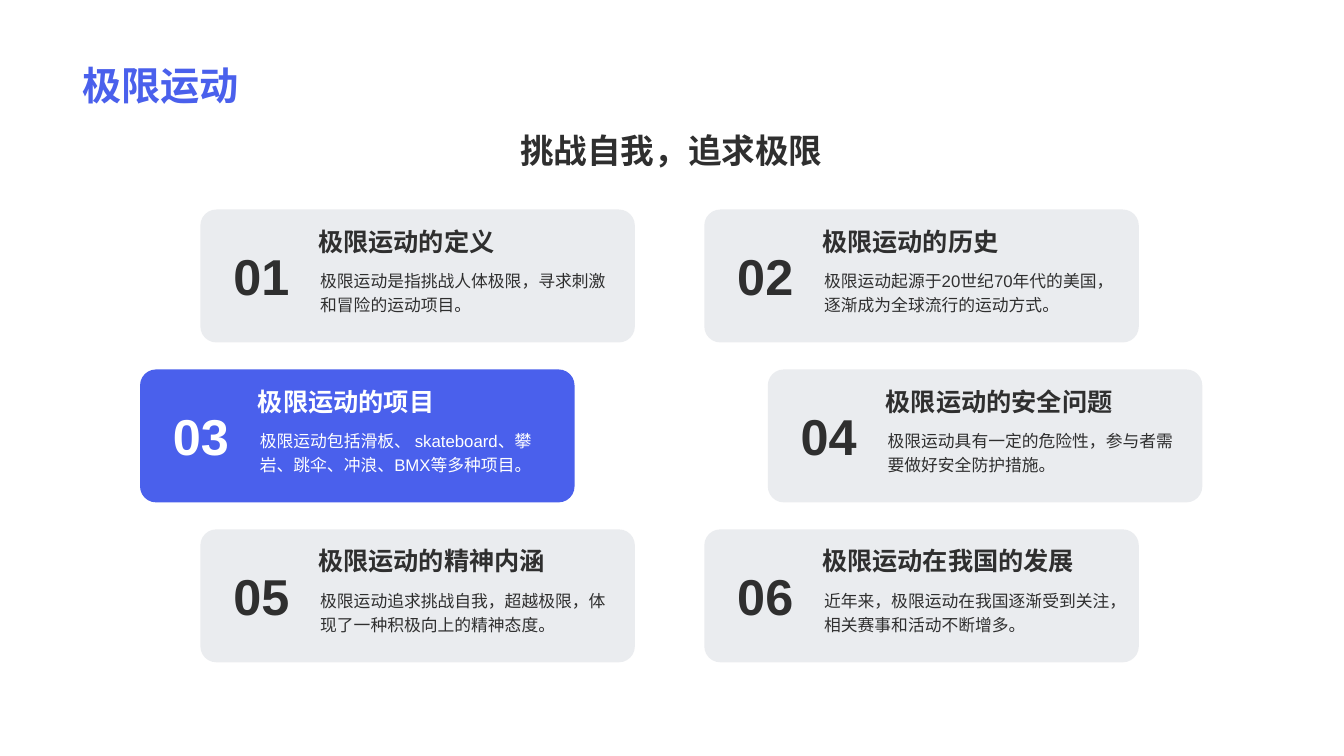
import pptx
import pptx.dml.color
import pptx.enum.lang
import pptx.enum.shapes
import pptx.enum.text
import pptx.oxml.ns
import pptx.util
from lxml import etree

Cm = pptx.util.Cm
Align = pptx.enum.text.PP_ALIGN
Anchor = pptx.enum.text.MSO_ANCHOR

COLORS = {"accent": "4A60EC", "ink": "2F2F2F", "white": "FFFFFF", "slate": "778495"}

TOPICS = [
    ("极限运动的定义", "极限运动是指挑战人体极限，寻求刺激和冒险的运动项目。"),
    ("极限运动的历史", "极限运动起源于20世纪70年代的美国，逐渐成为全球流行的运动方式。"),
    ("极限运动的项目", "极限运动包括滑板、 skateboard、攀岩、跳伞、冲浪、BMX等多种项目。"),
    ("极限运动的安全问题", "极限运动具有一定的危险性，参与者需要做好安全防护措施。"),
    ("极限运动的精神内涵", "极限运动追求挑战自我，超越极限，体现了一种积极向上的精神态度。"),
    ("极限运动在我国的发展", "近年来，极限运动在我国逐渐受到关注，相关赛事和活动不断增多。"),
]
HIGHLIGHTED = 3
COLUMN_LEFTS = (5.05, 17.75)
MIDDLE_ROW_SHIFTS = (-1.52, 1.6)
FIRST_ROW_TOP, ROW_PITCH = 5.28, 4.03
CARD_WIDTH, CARD_HEIGHT = 10.95, 3.35


def rgb(color):
    return pptx.dml.color.RGBColor.from_string(COLORS[color])


def write_text(frame, text, size, color="ink", bold=True, align=Align.LEFT, line_spacing=None):
    paragraph = frame.paragraphs[0]
    paragraph.alignment = align
    paragraph.line_spacing = line_spacing
    run = paragraph.add_run()
    run.text = text
    font = run.font
    font.name = "Arial"
    font.size = pptx.util.Pt(size)
    font.bold = bold
    font.color.rgb = rgb(color)
    font.language_id = pptx.enum.lang.MSO_LANGUAGE_ID.SIMPLIFIED_CHINESE


class TopicSlide:
    def __init__(self, slide):
        self.shapes = slide.shapes

    def text(self, left, top, width, height, text, size, anchor=Anchor.TOP, **style):
        box = self.shapes.add_textbox(Cm(left), Cm(top), Cm(width), Cm(height))
        frame = box.text_frame
        frame.word_wrap = True
        frame.vertical_anchor = anchor
        write_text(frame, text, size, **style)

    def panel(self, left, top, color, opacity=100):
        panel = self.shapes.add_shape(
            pptx.enum.shapes.MSO_SHAPE.ROUNDED_RECTANGLE,
            Cm(left), Cm(top), Cm(CARD_WIDTH), Cm(CARD_HEIGHT))
        panel.adjustments[0] = 0.12
        panel.shadow.inherit = False
        panel.line.fill.background()
        panel.fill.solid()
        panel.fill.fore_color.rgb = rgb(color)
        if opacity < 100:
            qn = pptx.oxml.ns.qn
            fill_color = panel.fill._xPr.find(qn("a:solidFill")).find(qn("a:srgbClr"))
            etree.SubElement(fill_color, qn("a:alpha"), val=str(opacity * 1000))

    def card(self, left, top, number, heading, description):
        if number == HIGHLIGHTED:
            self.panel(left, top, "accent")
            color = "white"
        else:
            self.panel(left, top, "slate", opacity=15)
            color = "ink"
        self.text(left + 2.77, top + 1.32, 7.72, 2.03, description, 12,
                  color=color, bold=False, line_spacing=1.2)
        self.text(left + 0.58, top + 0.77, 2.06, 1.8, f"{number:02d}", 36, color=color)
        self.text(left + 2.72, top + 0.28, 7.77, 1.02, heading, 18,
                  anchor=Anchor.BOTTOM, color=color)


def main():
    deck = pptx.Presentation()
    deck.slide_width, deck.slide_height = Cm(33.87), Cm(19.05)
    page = TopicSlide(deck.slides.add_slide(deck.slide_layouts[6]))

    page.text(1.83, 0.36, 30.18, 2.49, "极限运动", 28, anchor=Anchor.BOTTOM, color="accent")
    page.text(1.83, 3.15, 30.18, 1.27, "挑战自我，追求极限", 24, align=Align.CENTER)

    for index, (heading, description) in enumerate(TOPICS):
        row, column = divmod(index, 2)
        left = COLUMN_LEFTS[column]
        if row == 1:
            left += MIDDLE_ROW_SHIFTS[column]
        page.card(left, FIRST_ROW_TOP + row * ROW_PITCH, index + 1, heading, description)

    deck.save("out.pptx")


if __name__ == "__main__":
    main()
